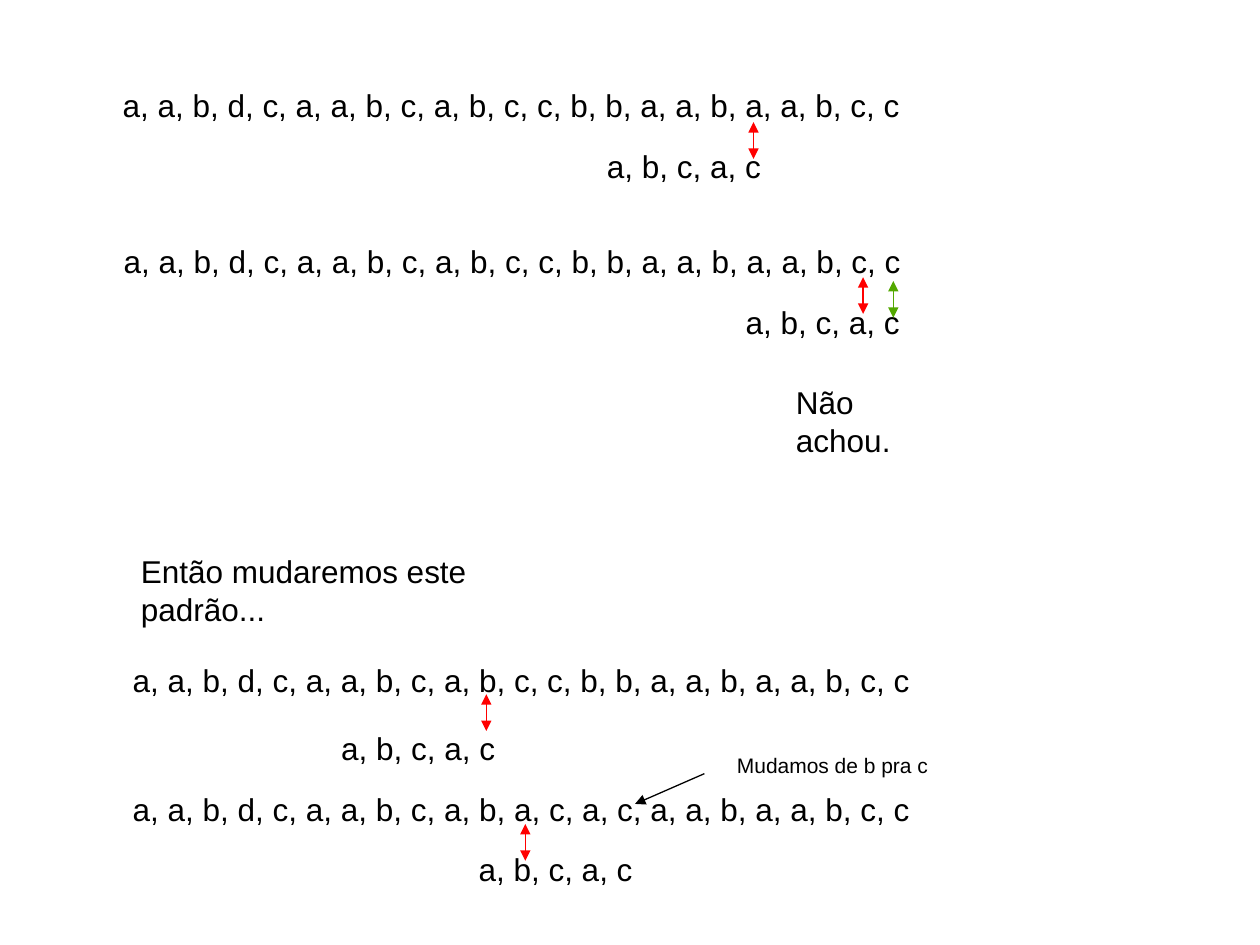
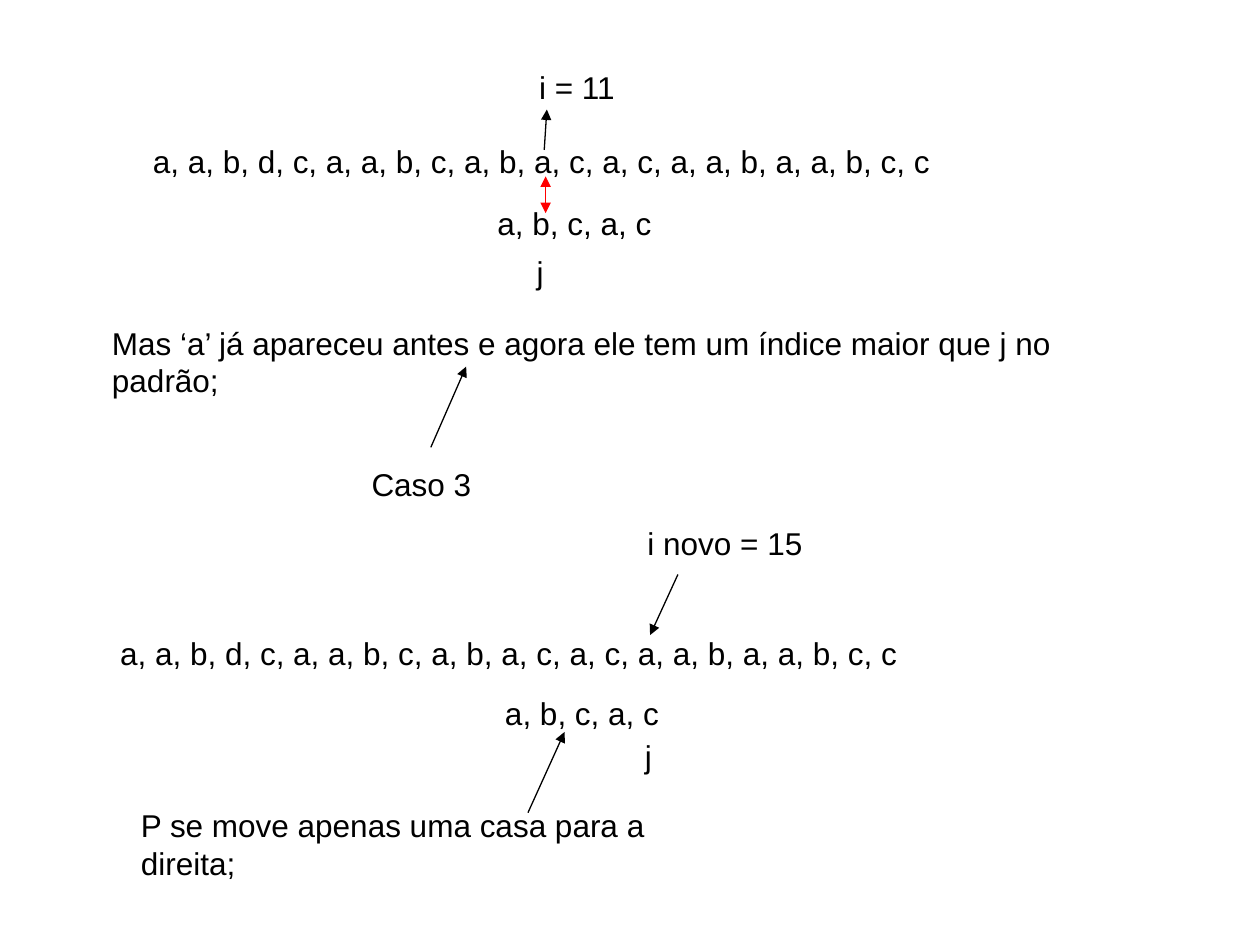
import pptx
import pptx.util
import pptx.dml.color
import pptx.enum.shapes
import pptx.enum.text
import pptx.oxml
import pptx.oxml.ns

Pt = pptx.util.Pt
ALIGN = pptx.enum.text.PP_ALIGN
COLORS = {"text": "000000", "miss": "FF0000", "match": "53A800"}
FONT = "Arial"
FIRST = ", ".join("aabdcaabcabccbbaabaabcc")
CHANGED = ", ".join("aabdcaabcabacacaabaabcc")
PATTERN = ", ".join("abcac")
GAP = 21


def color(name):
    return pptx.dml.color.RGBColor.from_string(COLORS[name])


def add_text(slide, text, left, top, width, height=27.4, size=18,
             wrap=True, align=ALIGN.LEFT):
    box = slide.shapes.add_textbox(Pt(left), Pt(top), Pt(width), Pt(height))
    frame = box.text_frame
    frame.word_wrap = wrap
    para = frame.paragraphs[0]
    para.alignment = align
    run = para.add_run()
    run.text = text
    run.font.name = FONT
    run.font.size = Pt(size)
    run.font.color.rgb = color("text")


def add_row(slide, text, left, top):
    width = 102.2 if text == PATTERN else 459.4
    add_text(slide, text, left, top, width, 28.8, wrap=False, align=ALIGN.RIGHT)


def add_line(slide, start, end, tone="text", ends=("tailEnd",)):
    line = slide.shapes.add_connector(
        pptx.enum.shapes.MSO_CONNECTOR.STRAIGHT,
        *(Pt(value) for value in (*start, *end)))
    line.line.color.rgb = color(tone)
    line.line.width = Pt(0.75)
    stroke = line.line._get_or_add_ln()
    for tag in ends:
        head = pptx.oxml.ns.qn(f"a:{tag}")
        stroke.append(stroke.makeelement(head, {"type": "triangle"}))
    props = line._element.spPr
    props.append(props.makeelement(pptx.oxml.ns.qn("a:effectLst"), {}))


def add_mark(slide, left, top, tone="miss"):
    add_line(slide, (left, top + GAP), (left, top), tone, ("headEnd", "tailEnd"))


def fill_search(slide):
    for text, left, top in (
        (FIRST, 61.9, 45.4), (PATTERN, 339.8, 80.6),
        (FIRST, 62.6, 134.6), (PATTERN, 419, 169.9),
        (FIRST, 67.7, 374.4), (PATTERN, 187.9, 413.3),
        (CHANGED, 67.7, 447.8), (PATTERN, 266.4, 482.4),
    ):
        add_row(slide, text, left, top)
    add_text(slide, "Não achou.", 447.8, 215.3, 105.8)
    add_text(slide, "Então mudaremos este padrão...", 73.4, 311.8, 275.8)
    add_text(slide, "Mudamos de b pra c", 414, 426.2, 123.8, 20.2, size=12)
    add_mark(slide, 510.5, 160.6, "match")
    for left, top in ((430.6, 69.8), (493.2, 158.4), (277.9, 396.7), (300.2, 470.9)):
        add_mark(slide, left, top)
    add_line(slide, (402.5, 442.1), (362.9, 459.4))


def fill_case(slide):
    for text, left, top in (
        (CHANGED, 79.2, 77.8), (PATTERN, 277.2, 113),
        (CHANGED, 60.5, 358.6), (PATTERN, 281.5, 393.1),
    ):
        add_row(slide, text, left, top)
    for text, left, top, width in (
        ("i = 11", 301, 35.3, 57.6),
        ("j", 299.5, 141.1, 18),
        ("Mas ‘a’ já apareceu antes e agora ele tem um índice maior que j no padrão;",
         56.9, 181.4, 615.6),
        ("Caso 3", 205.2, 262.1, 71.3),
        ("i novo = 15", 362.9, 295.9, 116.6),
        ("j", 361.4, 417.6, 18),
        ("P se move apenas uma casa para a direita;", 73.4, 457.2, 360.7),
    ):
        add_text(slide, text, left, top, width)
    add_mark(slide, 311.8, 100.8)
    for start, end in (
        ((311, 85.7), (312.5, 62.6)),
        ((246.2, 255.6), (266.4, 209.5)),
        ((387.4, 328.3), (371.5, 362.9)),
        ((301.7, 464.4), (322.6, 418.3)),
    ):
        add_line(slide, start, end)


def main():
    deck = pptx.Presentation()
    deck.slide_width, deck.slide_height = Pt(720), Pt(540)
    blank = deck.slide_layouts[6]
    for fill in (fill_search, fill_case):
        fill(deck.slides.add_slide(blank))
    deck.save("out.pptx")


if __name__ == "__main__":
    main()
